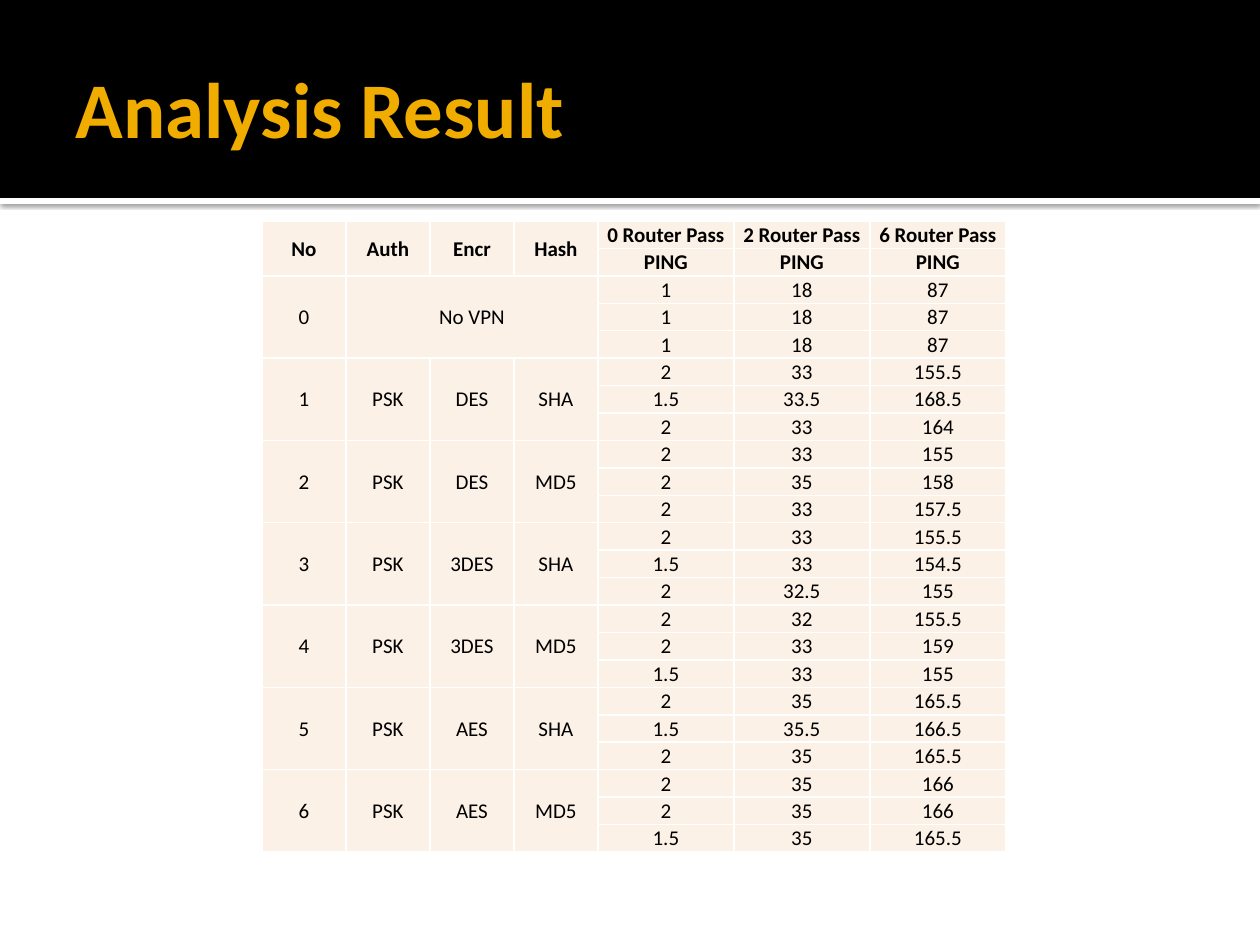
from lxml import etree
from pptx import Presentation
from pptx.dml.color import RGBColor
from pptx.enum.shapes import MSO_SHAPE
from pptx.enum.text import MSO_ANCHOR, PP_ALIGN
from pptx.oxml import parse_xml
from pptx.util import Pt

PX = 914400 // 126
RECT = MSO_SHAPE.RECTANGLE
MIDDLE, BOTTOM = MSO_ANCHOR.MIDDLE, MSO_ANCHOR.BOTTOM
CENTER = PP_ALIGN.CENTER
FONT = "Calibri"
BLACK, WHITE, GOLD, CREAM = "000000", "FFFFFF", "F0AD00", "FCF1E7"
NS = "http://schemas.openxmlformats.org/drawingml/2006/main"

TITLE = "Analysis Result"
HEADS = ["No", "Auth", "Encr", "Hash"]
PASSES = ["0 Router Pass", "2 Router Pass", "6 Router Pass"]
UNIT = "PING"
# Each test: its labels, then three runs of ping values
TESTS = [
    (["0", "No VPN"], ["1 18 87", "1 18 87", "1 18 87"]),
    (["1", "PSK", "DES", "SHA"], ["2 33 155.5", "1.5 33.5 168.5", "2 33 164"]),
    (["2", "PSK", "DES", "MD5"], ["2 33 155", "2 35 158", "2 33 157.5"]),
    (["3", "PSK", "3DES", "SHA"], ["2 33 155.5", "1.5 33 154.5", "2 32.5 155"]),
    (["4", "PSK", "3DES", "MD5"], ["2 32 155.5", "2 33 159", "1.5 33 155"]),
    (["5", "PSK", "AES", "SHA"], ["2 35 165.5", "1.5 35.5 166.5", "2 35 165.5"]),
    (["6", "PSK", "AES", "MD5"], ["2 35 166", "2 35 166", "1.5 35 165.5"]),
]
RUNS = 3
LEFT, TOP, TALL = 262, 221, 632
WIDTHS = [84] * len(HEADS) + [136] * len(PASSES)


def color(code):
    return RGBColor.from_string(code)


def style(para, size, code, bold):
    for run in para.runs:
        font = run.font
        font.name, font.size, font.bold = FONT, Pt(size), bold
        font.color.rgb = color(code)


def bar(slide, top, high, code):
    shape = slide.shapes.add_shape(RECT, 0, top * PX, 1260 * PX, high * PX)
    shape.shadow.inherit = False
    shape.fill.solid()
    shape.fill.fore_color.rgb = color(code)
    shape.line.fill.background()
    return shape


def shade(shape):
    effects = shape._element.spPr.find(f"{{{NS}}}effectLst")
    effects.append(parse_xml(
        f'<a:outerShdw xmlns:a="{NS}" blurRad="{Pt(2.5)}" dist="{Pt(0.8)}" '
        f'dir="5400000" rotWithShape="0"><a:srgbClr val="{BLACK}">'
        '<a:alpha val="60000"/></a:srgbClr></a:outerShdw>'))


def dress(cell):
    cell.fill.solid()
    cell.fill.fore_color.rgb = color(CREAM)
    cell.margin_left = cell.margin_right = cell.margin_top = PX
    cell.margin_bottom = 0
    cell.vertical_anchor = MIDDLE
    for spot, side in enumerate(("lnL", "lnR", "lnT", "lnB")):
        cell._tc.tcPr.insert(spot, parse_xml(
            f'<a:{side} xmlns:a="{NS}" w="{Pt(1)}"><a:solidFill>'
            f'<a:srgbClr val="{WHITE}"/></a:solidFill></a:{side}>'))
    # Keeps empty merged cells from stretching their rows
    para = cell.text_frame.paragraphs[0]
    etree.SubElement(para._p, f"{{{NS}}}endParaRPr", sz="1200")


def put(table, row, col, text, bold=False, down=1, across=1):
    cell = table.cell(row, col)
    if down * across > 1:
        cell.merge(table.cell(row + down - 1, col + across - 1))
    para = cell.text_frame.paragraphs[0]
    para.text = text
    para.alignment = CENTER
    style(para, 12, BLACK, bold)
    return cell


def fill_table(table):
    first = len(HEADS)
    for col, head in enumerate(HEADS):
        put(table, 0, col, head, True, down=2)
    for col, name in enumerate(PASSES, first):
        put(table, 0, col, name, True).vertical_anchor = BOTTOM
        put(table, 1, col, UNIT, True)
    for order, (labels, pings) in enumerate(TESTS):
        top = 2 + order * RUNS
        for col, label in enumerate(labels):
            last = col == len(labels) - 1
            put(table, top, col, label, down=RUNS,
                across=first - col if last else 1)
        for row, line in enumerate(pings, top):
            for col, value in enumerate(line.split(), first):
                put(table, row, col, value)


def main():
    deck = Presentation()
    deck.slide_width, deck.slide_height = 1260 * PX, 945 * PX
    slide = deck.slides.add_slide(deck.slide_layouts[6])

    # Header band with a shaded white rule
    shade(bar(slide, 198, 6, WHITE))
    bar(slide, 0, 198, BLACK)

    # Title
    box = slide.shapes.add_textbox(63 * PX, 21 * PX, 1134 * PX, 173 * PX)
    frame = box.text_frame
    frame.word_wrap = True
    frame.vertical_anchor = MIDDLE
    frame.margin_left = 13 * PX
    frame.margin_right = frame.margin_top = frame.margin_bottom = 6 * PX
    frame.text = TITLE
    style(frame.paragraphs[0], 45, GOLD, True)

    # Ping table
    count = 2 + RUNS * len(TESTS)
    table = slide.shapes.add_table(count, len(WIDTHS), LEFT * PX, TOP * PX,
                                   sum(WIDTHS) * PX, TALL * PX).table
    table.first_row = table.horz_banding = False
    for col, wide in zip(table.columns, WIDTHS):
        col.width = wide * PX
    for row in table.rows:
        row.height = TALL * PX // count
    for cell in table.iter_cells():
        dress(cell)
    fill_table(table)

    deck.save("out.pptx")


if __name__ == "__main__":
    main()
